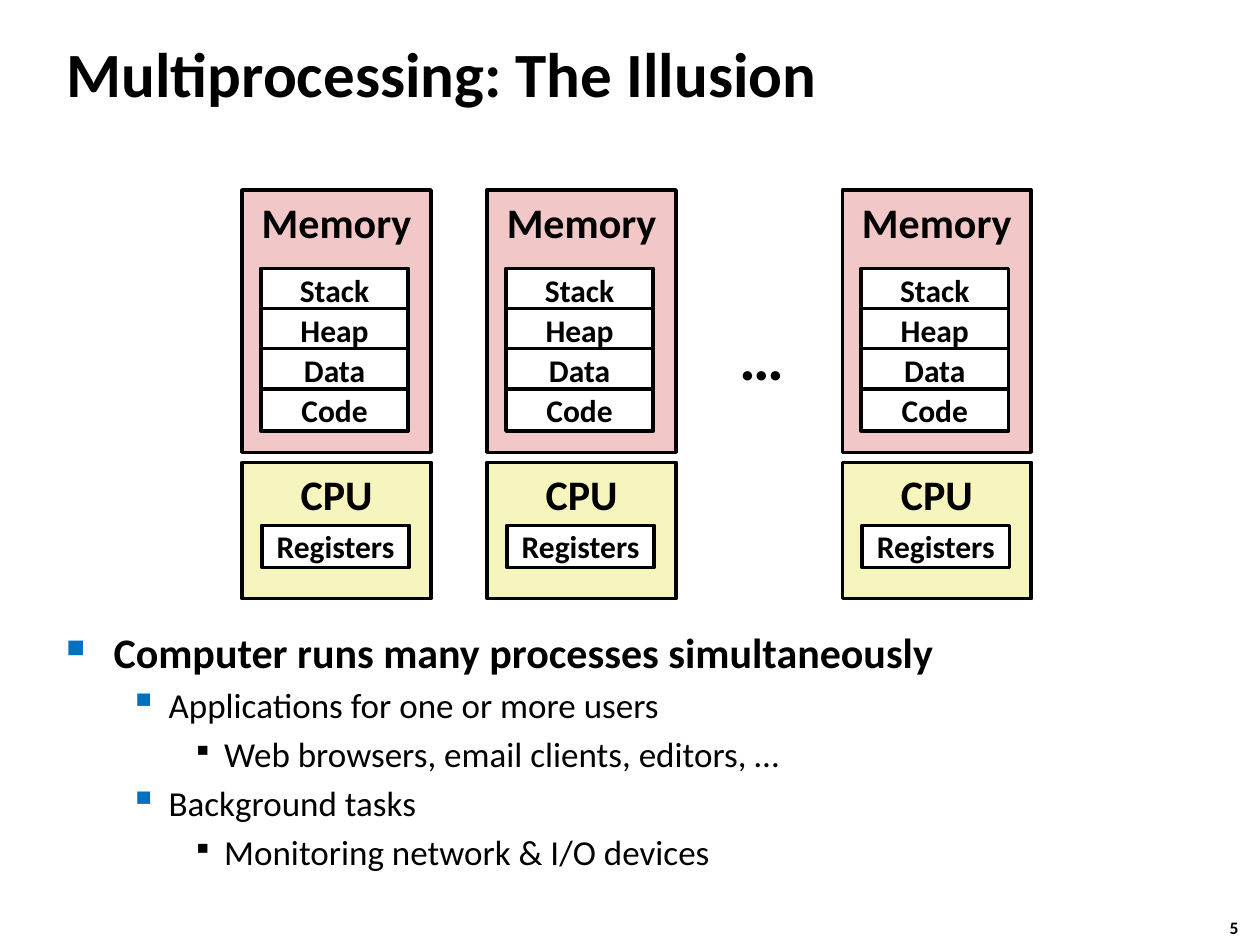
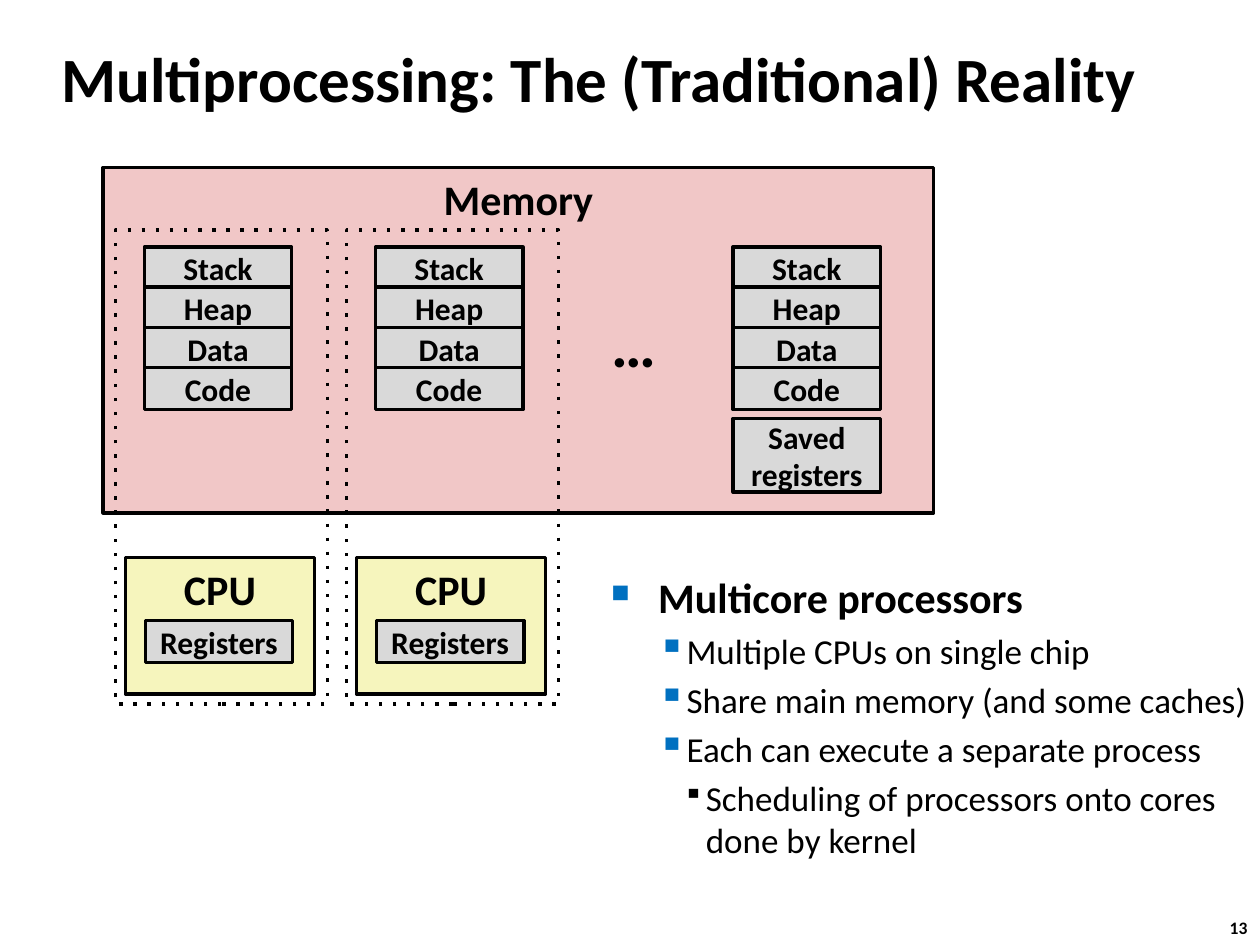
from dataclasses import dataclass

from lxml import etree
from pptx import Presentation
from pptx.dml.color import RGBColor
from pptx.enum.shapes import MSO_SHAPE
from pptx.enum.text import MSO_ANCHOR, MSO_AUTO_SIZE, PP_ALIGN
from pptx.oxml.ns import qn
from pptx.util import Cm, Pt

RECTANGLE = MSO_SHAPE.RECTANGLE
TOP, MIDDLE = MSO_ANCHOR.TOP, MSO_ANCHOR.MIDDLE
LEFT, CENTER = PP_ALIGN.LEFT, PP_ALIGN.CENTER
NO_FIT = MSO_AUTO_SIZE.NONE
TITLE_ONLY = 5


@dataclass(frozen=True)
class Theme:
    font: str = "Calibri"
    ink: str = "000000"
    bullet: str = "0070C0"
    memory: str = "F1C7C7"
    cpu: str = "F6F5BD"
    private: str = "FFFFFF"
    shared: str = "D9D9D9"
    title_size: int = 36
    heading_size: int = 24
    body_size: int = 20
    cell_size: int = 18
    number_size: int = 10
    line_width: int = 2


# Bullet of each outline level: character, size in percent, coloured or not
BULLETS = [("■", 60, True), ("▪", 110, True), ("▪", 80, False)]

# Memory segments and the sizes shared by both diagrams, in cm
SEGMENTS = ["Stack", "Heap", "Data", "Code"]
CELL_WIDTH, CELL_HEIGHT, SEGMENT_PITCH = 2.97, 0.85, 0.81
UNIT_WIDTH, CPU_HEIGHT = 3.81, 2.75


def write(para, text, *, theme, size, bold=True, align=LEFT):
    """Add formatted text to a paragraph."""
    para.alignment = align
    span = para.add_run()
    span.text = text
    span.font.name = theme.font
    span.font.size = Pt(size)
    span.font.bold = bold
    span.font.color.rgb = RGBColor.from_string(theme.ink)


class Builder:
    def __init__(self, deck, theme):
        self.deck = deck
        self.theme = theme
        self.slide = None

    def page(self, title, left, top, width, number):
        """Start a slide with its title and page number."""
        layout = self.deck.slide_layouts[TITLE_ONLY]
        self.slide = self.deck.slides.add_slide(layout)
        box = self.slide.shapes.title
        box.left, box.top, box.width, box.height = Cm(left), Cm(top), Cm(width), Cm(2.11)
        frame = box.text_frame
        frame.auto_size = NO_FIT
        frame.vertical_anchor = MIDDLE
        write(frame.paragraphs[0], title, theme=self.theme, size=self.theme.title_size)
        self.label(number, 24.54, 18.36, 0.94, 0.69, self.theme.number_size)

    def label(self, text, left, top, width, height, size):
        """Unwrapped line of text."""
        box = self.slide.shapes.add_textbox(Cm(left), Cm(top), Cm(width), Cm(height))
        box.text_frame.word_wrap = False
        write(box.text_frame.paragraphs[0], text, theme=self.theme, size=size)

    def rectangle(self, left, top, width, height, fill=None):
        box = self.slide.shapes.add_shape(RECTANGLE, Cm(left), Cm(top), Cm(width), Cm(height))
        box.shadow.inherit = False
        if fill:
            box.fill.solid()
            box.fill.fore_color.rgb = RGBColor.from_string(fill)
        else:
            box.fill.background()
        box.line.color.rgb = RGBColor.from_string(self.theme.ink)
        box.line.width = Pt(self.theme.line_width)
        return box

    def panel(self, text, left, top, width, height, fill):
        """Large box with its heading at the top."""
        box = self.rectangle(left, top, width, height, fill)
        box.text_frame.vertical_anchor = TOP
        write(box.text_frame.paragraphs[0], text, theme=self.theme,
              size=self.theme.heading_size, align=CENTER)

    def cell(self, text, left, top, fill, height=CELL_HEIGHT):
        """Small box with centred text."""
        box = self.rectangle(left, top, CELL_WIDTH, height, fill)
        box.text_frame.vertical_anchor = MIDDLE
        write(box.text_frame.paragraphs[0], text, theme=self.theme,
              size=self.theme.cell_size, align=CENTER)

    def segments(self, left, top, fill):
        for row, name in enumerate(SEGMENTS):
            self.cell(name, left, top + row * SEGMENT_PITCH, fill)

    def cpu(self, left, top, fill):
        self.panel("CPU", left, top, UNIT_WIDTH, CPU_HEIGHT, self.theme.cpu)
        self.cell("Registers", left + 0.4, top + 1.27, fill)

    def dotted_frame(self, left, top, width, height):
        box = self.rectangle(left, top, width, height)
        line = box.element.spPr.find(qn("a:ln"))
        etree.SubElement(line, qn("a:prstDash"), val="dot")

    def ellipsis(self, left, top):
        self.label("…", left, top, 1.42, 1.8, self.theme.title_size)

    def outline(self, items, left, top, width, height, indents):
        """Bulleted list; indents holds text position and hang of each level."""
        box = self.slide.shapes.add_textbox(Cm(left), Cm(top), Cm(width), Cm(height))
        frame = box.text_frame
        frame.word_wrap = True
        for index, (level, text) in enumerate(items):
            para = frame.add_paragraph() if index else frame.paragraphs[0]
            size = self.theme.body_size if level else self.theme.heading_size
            para.level = level
            para.space_before = Pt(0.2 * size if index else 0)
            self.bullet(para, level, *indents[level])
            write(para, text, theme=self.theme, size=size, bold=level == 0)

    def bullet(self, para, level, margin, hang):
        character, percent, coloured = BULLETS[level]
        properties = para._p.get_or_add_pPr()
        properties.set("marL", str(Cm(margin)))
        properties.set("indent", str(-Cm(hang)))
        if coloured:
            color = etree.SubElement(properties, qn("a:buClr"))
            etree.SubElement(color, qn("a:srgbClr"), val=self.theme.bullet)
        etree.SubElement(properties, qn("a:buSzPct"), val=str(percent * 1000))
        etree.SubElement(properties, qn("a:buChar"), char=character)


def illusion_slide(builder):
    theme = builder.theme
    builder.page("Multiprocessing: The Illusion", 1.09, 0.41, 21.08, "5")

    # Each process appears to own a memory and a CPU
    for left in (4.88, 9.82, 16.98):
        builder.cpu(left, 9.32, theme.private)
        builder.panel("Memory", left, 3.83, UNIT_WIDTH, 5.29, theme.memory)
        builder.segments(left + 0.38, 5.41, theme.private)
    builder.ellipsis(14.66, 6.27)

    builder.outline([
        (0, "Computer runs many processes simultaneously"),
        (1, "Applications for one or more users"),
        (2, "Web browsers, email clients, editors, …"),
        (1, "Background tasks"),
        (2, "Monitoring network & I/O devices"),
    ], 1.09, 12.5, 21.95, 5.49, [(0.95, 0.95), (2.06, 0.79), (3.18, 0.64)])


def reality_slide(builder):
    theme = builder.theme
    builder.page("Multiprocessing: The (Traditional) Reality", 0.99, 0.51, 23.57, "13")

    # One shared memory
    builder.panel("Memory", 2.08, 3.38, 16.74, 6.96, theme.memory)

    # Running processes, each framed with its core
    for left in (2.33, 6.99):
        builder.segments(left + 0.58, 4.98, theme.shared)
        builder.cpu(left + 0.2, 11.24, theme.shared)
        builder.dotted_frame(left, 4.64, 4.27, 9.55)

    # Waiting process
    builder.ellipsis(12.07, 6.02)
    builder.segments(14.78, 4.98, theme.shared)
    builder.cell("Saved registers", 14.78, 8.44, theme.shared, height=1.48)

    builder.outline([
        (0, "Multicore processors"),
        (1, "Multiple CPUs on single chip"),
        (1, "Share main memory (and some caches)"),
        (1, "Each can execute a separate process"),
        (2, "Scheduling of processors onto cores done by kernel"),
    ], 12.07, 11.4, 13.77, 7.42, [(0.95, 0.95), (1.44, 0.5), (1.91, 0.46)])


def main():
    deck = Presentation()
    deck.slide_width, deck.slide_height = Cm(25.4), Cm(19.05)
    builder = Builder(deck, Theme())
    illusion_slide(builder)
    reality_slide(builder)
    deck.save("out.pptx")


if __name__ == "__main__":
    main()
